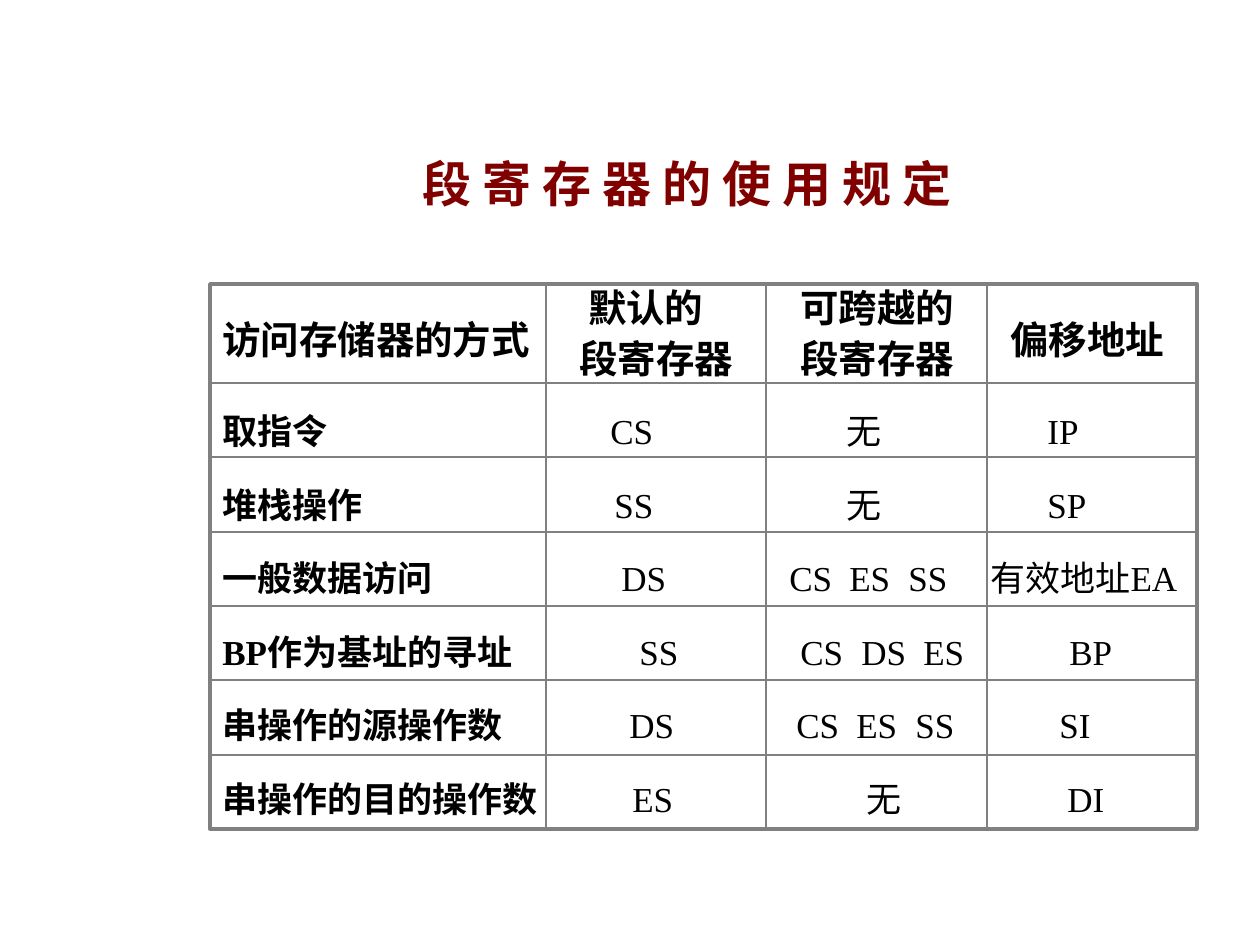
from lxml import etree
from pptx import Presentation
from pptx import util as u
from pptx.dml.color import RGBColor
from pptx.enum import shapes, text
from pptx.oxml.ns import qn

PX = u.Inches(1) // 126
CJK, LATIN = "Noto Sans CJK SC", "Times New Roman"
GREY, BLACK, MAROON = "808080", "000000", "800000"

deck = Presentation()
deck.slide_width, deck.slide_height = 1260 * PX, 945 * PX
slide = deck.slides.add_slide(deck.slide_layouts[6])


def add_text(box, paragraphs, color, spacing=1.0, **formats):
    """Each paragraph is a pair: runs as (words, bold), and tab stops in px."""
    frame = slide.shapes.add_textbox(*(n * PX for n in box)).text_frame
    frame.word_wrap = True
    frame.auto_size = text.MSO_AUTO_SIZE.NONE
    for i, (runs, stops) in enumerate(paragraphs):
        paragraph = frame.add_paragraph() if i else frame.paragraphs[0]
        paragraph.line_spacing = spacing
        if stops:
            tabs = etree.SubElement(paragraph._p.get_or_add_pPr(), qn("a:tabLst"))
            for stop in stops:
                etree.SubElement(tabs, qn("a:tab"), pos=str(stop * PX), algn="l")
        for words, bold in runs:
            run = paragraph.add_run()
            run.text = words
            for key, value in {**formats, "bold": bold}.items():
                setattr(run.font, key, value)
            run.font.color.rgb = RGBColor.from_string(color)
            etree.SubElement(run._r.get_or_add_rPr(), qn("a:ea"), typeface=CJK)


def add_rule(x1, y1, x2, y2):
    rule = slide.shapes.add_connector(
        shapes.MSO_CONNECTOR.STRAIGHT, x1 * PX, y1 * PX, x2 * PX, y2 * PX)
    rule.line.color.rgb = RGBColor.from_string(GREY)
    rule.line.width = u.Pt(1)
    etree.SubElement(rule._element.spPr, qn("a:effectLst"))


# Outer frame of the grid
left, top, right, bottom = 210, 284, 1197, 829
frame = slide.shapes.add_shape(
    shapes.MSO_SHAPE.RECTANGLE, left * PX, top * PX,
    (right - left) * PX, (bottom - top) * PX)
frame.shadow.inherit = False
frame.fill.background()
frame.line.color.rgb = RGBColor.from_string(GREY)
frame.line.width = u.Pt(2)

# Inner rules: six equal rows below the header, four columns
header_bottom, row_count = 383, 6
for i in range(row_count):
    y = header_bottom + round(i * (bottom - header_bottom) / row_count)
    add_rule(left, y, right, y)
for x in (546, 766, 987):
    add_rule(x, top, x, bottom)

# Column headings
headings = [
    ((210, 305, 336, 64), ["访问存储器的方式"]),
    ((567, 273, 189, 115), [" 默认的", "段寄存器"]),
    ((788, 273, 189, 115), ["可跨越的", "段寄存器"]),
    ((998, 305, 189, 64), ["偏移地址"]),
]
for box, lines in headings:
    add_text(box, [([(line, True)], []) for line in lines], BLACK,
             spacing=1.1, size=u.Pt(22), name=CJK)

# Table rows: access mode, registers, and a tab stop for each register
rows = [
    ("取指令", ["CS", "无", "IP"], [388, 624, 825]),
    ("堆栈操作", ["SS", "无", "SP"], [392, 624, 825]),
    ("一般数据访问", ["DS", "CS", "ES", "SS", "有效地址EA"],
     [399, 567, 627, 686, 768]),
    ("BP作为基址的寻址", ["SS", "CS", "DS", "ES", "BP"],
     [417, 578, 639, 701, 847]),
    ("串操作的源操作数", ["DS", "CS", "ES", "SS", "SI"],
     [407, 574, 634, 693, 837]),
    ("串操作的目的操作数", ["ES", "无", "DI"], [410, 644, 845]),
]
add_text((210, 372, 998, 454),
         [([(mode, True), ("\t" + "\t".join(registers), False)], stops)
          for mode, registers, stops in rows],
         BLACK, spacing=1.75, size=u.Pt(20), name=LATIN)

# Title
add_text((410, 147, 577, 72), [([("段 寄 存 器 的 使 用 规 定", True)], [])],
         MAROON, size=u.Pt(28), name=LATIN)

deck.save("out.pptx")
